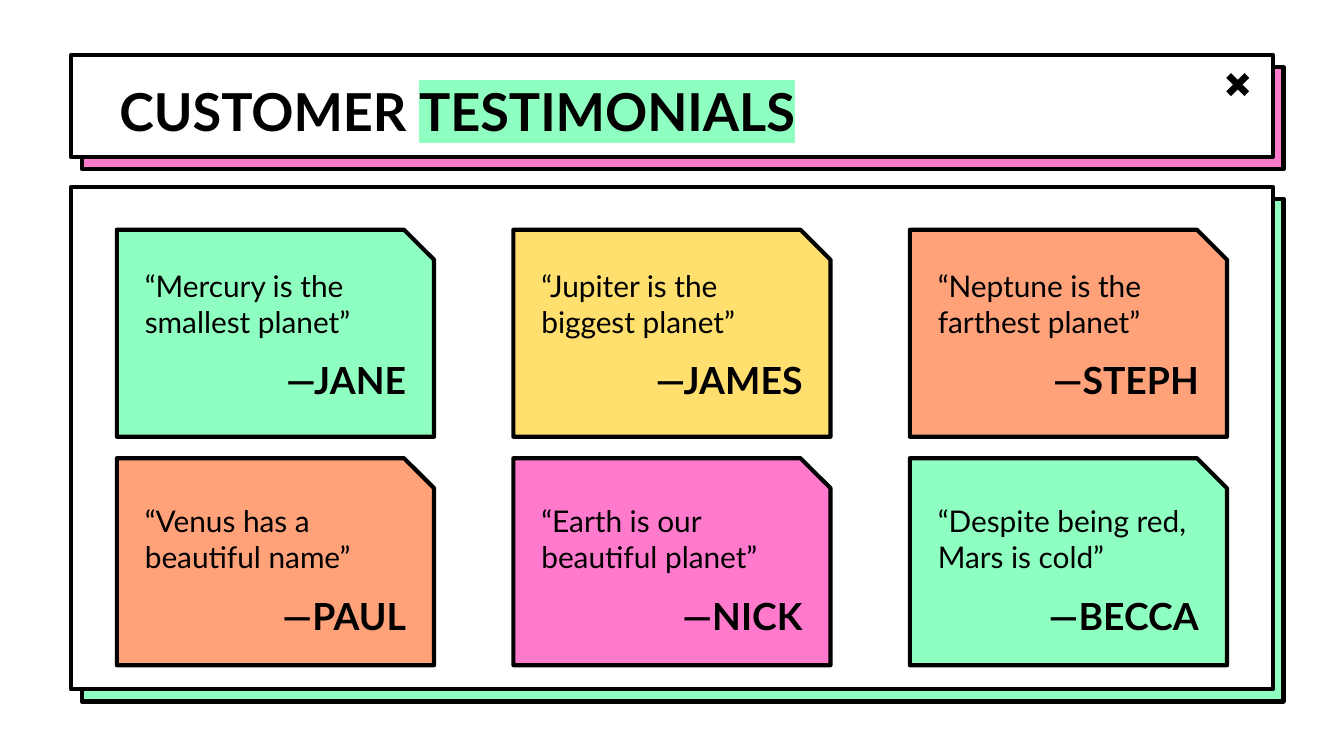
"""Build the customer testimonials slide."""
from dataclasses import dataclass
from typing import NamedTuple

from lxml.etree import SubElement
from pptx import Presentation
from pptx.dml.color import RGBColor
from pptx.enum.shapes import MSO_SHAPE
from pptx.enum.text import MSO_ANCHOR, PP_ALIGN
from pptx.oxml.ns import qn
from pptx.util import Inches, Pt


@dataclass(frozen=True)
class Theme:
    font: str = "Lato"
    ink: str = "000000"
    paper: str = "FFFFFF"
    mint: str = "8FFFC1"
    pink: str = "FF7ACD"
    orange: str = "FFA27A"
    yellow: str = "FFDF6D"
    outline: float = 2.25
    title_size: int = 28
    name_size: int = 20
    quote_size: int = 16


class Box(NamedTuple):
    left: float
    top: float
    width: float
    height: float

    def moved(self, right: float, down: float) -> "Box":
        return self._replace(left=self.left + right, top=self.top + down)

    def lengths(self) -> list:
        return [Inches(value) for value in self]


class Grid(NamedTuple):
    first: Box
    column_step: float
    row_step: float

    def cell(self, column: int, row: int) -> Box:
        return self.first.moved(column * self.column_step, row * self.row_step)


class Panel(NamedTuple):
    box: Box
    shadow: str


class Testimonial(NamedTuple):
    quote: str
    name: str
    fill: str


class Span(NamedTuple):
    text: str
    size: int
    bold: bool = False
    highlight: str = ""


THEME = Theme()
SHADOW_RIGHT, SHADOW_DOWN = 0.08, 0.09
COLUMNS = 3
CARDS = Grid(Box(0.87, 1.71, 2.36, 1.54), 2.95, 1.7)
QUOTES = Grid(Box(0.98, 1.89, 2.14, 0.74), 2.95, 1.75)
NAMES = Grid(Box(0.98, 2.56, 2.14, 0.52), 2.95, 1.75)
PANELS = [
    Panel(Box(0.53, 0.41, 8.94, 0.76), THEME.pink),
    Panel(Box(0.53, 1.39, 8.94, 3.74), THEME.mint),
]
TESTIMONIALS = [
    Testimonial("“Mercury is the smallest planet”", "—JANE", THEME.mint),
    Testimonial("“Jupiter is the biggest planet”", "—JAMES", THEME.yellow),
    Testimonial("“Neptune is the farthest planet”", "—STEPH", THEME.orange),
    Testimonial("“Venus has a beautiful name”", "—PAUL", THEME.orange),
    Testimonial("“Earth is our beautiful planet”", "—NICK", THEME.pink),
    Testimonial("“Despite being red, Mars is cold”", "—BECCA", THEME.mint),
]


def draw_shape(page, kind: MSO_SHAPE, box: Box, fill: str, adjust: float = 0, outlined: bool = True) -> None:
    """Draw a flat filled shape, with a rounded-join outline if asked."""
    shape = page.shapes.add_shape(kind, *box.lengths())
    shape.shadow.inherit = False
    shape.fill.solid()
    shape.fill.fore_color.rgb = RGBColor.from_string(fill)
    if adjust:
        shape.adjustments[0] = adjust
    if outlined:
        shape.line.color.rgb = RGBColor.from_string(THEME.ink)
        shape.line.width = Pt(THEME.outline)
        SubElement(shape.line._ln, qn("a:round"))
    else:
        shape.line.fill.background()


def draw_text(page, box: Box, spans: list[Span], align: PP_ALIGN = PP_ALIGN.LEFT) -> None:
    """Write one paragraph of spans in a wrapping text box."""
    frame = page.shapes.add_textbox(*box.lengths()).text_frame
    margins = {f"margin_{side}": Inches(0.1) for side in ("left", "top", "right", "bottom")}
    for key, value in {"word_wrap": True, "vertical_anchor": MSO_ANCHOR.TOP, **margins}.items():
        setattr(frame, key, value)
    para = frame.paragraphs[0]
    para.alignment = align
    for span in spans:
        run = para.add_run()
        run.text = span.text
        for key, value in {"name": THEME.font, "size": Pt(span.size), "bold": span.bold}.items():
            setattr(run.font, key, value)
        run.font.color.rgb = RGBColor.from_string(THEME.ink)
        if span.highlight:
            properties = run._r.get_or_add_rPr()
            highlight = SubElement(properties, qn("a:highlight"))
            SubElement(highlight, qn("a:srgbClr"), val=span.highlight)
            properties.find(qn("a:solidFill")).addnext(highlight)


def draw_panel(page, panel: Panel) -> None:
    """Draw a white panel over its coloured offset shadow."""
    draw_shape(page, MSO_SHAPE.RECTANGLE, panel.box.moved(SHADOW_RIGHT, SHADOW_DOWN), panel.shadow)
    draw_shape(page, MSO_SHAPE.RECTANGLE, panel.box, THEME.paper)


def draw_testimonial(page, index: int, item: Testimonial) -> None:
    """Draw one card with its quote and name."""
    row, column = divmod(index, COLUMNS)
    draw_shape(page, MSO_SHAPE.SNIP_1_RECTANGLE, CARDS.cell(column, row), item.fill, 0.145)
    draw_text(page, QUOTES.cell(column, row), [Span(item.quote, THEME.quote_size)])
    draw_text(page, NAMES.cell(column, row), [Span(item.name, THEME.name_size, True)], PP_ALIGN.RIGHT)


def main() -> None:
    """Build and save the deck."""
    deck = Presentation()
    deck.slide_width = Inches(10)
    deck.slide_height = deck.slide_width * 9 // 16
    page = deck.slides.add_slide(deck.slide_layouts[6])
    for panel in PANELS:
        draw_panel(page, panel)
    draw_shape(page, MSO_SHAPE.MATH_MULTIPLY, Box(9.08, 0.5, 0.26, 0.26), THEME.ink, 0.193, False)
    draw_text(page, Box(0.79, 0.49, 8.43, 0.63), [
        Span("CUSTOMER ", THEME.title_size, True),
        Span("TESTIMONIALS", THEME.title_size, True, THEME.mint),
    ])
    for index, item in enumerate(TESTIMONIALS):
        draw_testimonial(page, index, item)
    deck.save("out.pptx")


if __name__ == "__main__":
    main()
